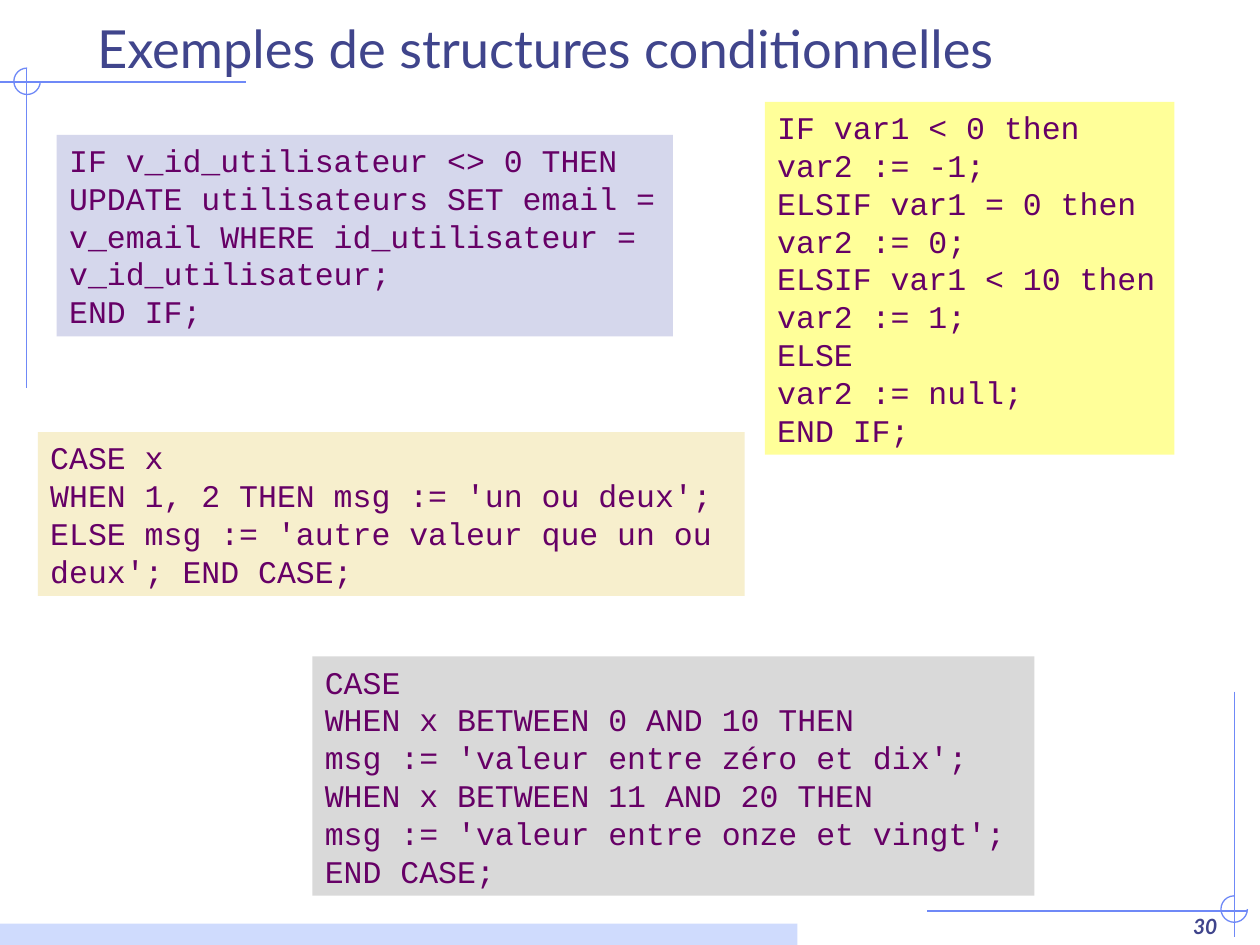
from dataclasses import dataclass

from lxml import etree
from pptx import Presentation
from pptx.dml.color import RGBColor
from pptx.enum.shapes import MSO_CONNECTOR, MSO_SHAPE
from pptx.enum.text import MSO_ANCHOR, MSO_AUTO_SIZE, PP_ALIGN
from pptx.oxml.ns import qn
from pptx.util import Inches, Pt

STRAIGHT = MSO_CONNECTOR.STRAIGHT
RECT, ARC = MSO_SHAPE.RECTANGLE, MSO_SHAPE.ARC
TOP, BOTTOM = MSO_ANCHOR.TOP, MSO_ANCHOR.BOTTOM
LEFT, RIGHT = PP_ALIGN.LEFT, PP_ALIGN.RIGHT
FIXED, GROW = MSO_AUTO_SIZE.NONE, MSO_AUTO_SIZE.SHAPE_TO_FIT_TEXT


@dataclass(frozen=True)
class Theme:
    ink: str = "40458C"
    code: str = "660066"
    rule: str = "6F89F7"
    footer: str = "CFDBFD"
    text_font: str = "Lato"
    code_font: str = "Courier New"
    title_pt: float = 30
    code_pt: float = 18
    code_line_pt: float = 21.6
    number_pt: float = 12
    rule_pt: float = 0.75


@dataclass(frozen=True)
class CodeBox:
    left: float
    top: float
    width: float
    fill: str
    lines: tuple[str, ...]
    rows: int  # displayed rows, wrapped ones included


@dataclass(frozen=True)
class Corner:
    horizontal: tuple[float, float, float, float]
    vertical: tuple[float, float, float, float]
    circle: tuple[float, float]


THEME = Theme()
ROW, PADDING, CIRCLE = 0.3, 0.1, 0.21

CORNERS = (
    Corner((0, 0.65, 1.95, 0.65), (0.21, 0.55, 0.21, 3.08), (0.11, 0.54)),
    Corner((7.36, 7.23, 9.9, 7.23), (9.8, 5.49, 9.8, 7.44), (9.69, 7.11)),
)

CODE_BOXES = (
    CodeBox(0.45, 1.07, 4.89, "D5D7EC", (
        "IF v_id_utilisateur <> 0 THEN",
        "UPDATE utilisateurs SET email = v_email "
        "WHERE id_utilisateur = v_id_utilisateur;",
        "END IF;",
    ), 5),
    CodeBox(2.48, 5.21, 5.73, "D9D9D9", (
        "CASE",
        "WHEN x BETWEEN 0 AND 10 THEN",
        "msg := 'valeur entre zéro et dix';",
        "WHEN x BETWEEN 11 AND 20 THEN",
        "msg := 'valeur entre onze et vingt';",
        "END CASE;",
    ), 6),
    CodeBox(6.07, 0.81, 3.25, "FFFF99", (
        "IF var1 < 0 then",
        "var2 := -1;",
        "ELSIF var1 = 0 then",
        "var2 := 0;",
        "ELSIF var1 < 10 then",
        "var2 := 1;",
        "ELSE",
        "var2 := null;",
        "END IF;",
    ), 9),
    CodeBox(0.3, 3.43, 5.61, "F7EFCD", (
        "CASE x",
        "WHEN 1, 2 THEN msg := 'un ou deux'; "
        "ELSE msg := 'autre valeur que un ou deux'; END CASE;",
    ), 4),
)


def color(value: str) -> RGBColor:
    return RGBColor.from_string(value)


def add_run(p, text: str, font: str, size: float, ink: str):
    r = p.add_run()
    r.text = text
    r.font.name, r.font.size = font, Pt(size)
    r.font.color.rgb = color(ink)
    return r


def style_line(sp) -> None:
    sp.line.color.rgb = color(THEME.rule)
    sp.line.width = Pt(THEME.rule_pt)


def add_rule(s, ends: tuple[float, float, float, float]) -> None:
    sp = s.shapes.add_connector(STRAIGHT, *map(Inches, ends))
    style_line(sp)
    etree.SubElement(sp._element.spPr, qn("a:effectLst"))


def add_corner(s, corner: Corner) -> None:
    add_rule(s, corner.horizontal)
    add_rule(s, corner.vertical)
    sp = s.shapes.add_shape(ARC, *map(Inches, (*corner.circle, CIRCLE, CIRCLE)))
    # Clockwise from 0 to 270 degrees, in 60000ths scaled by 100000
    sp.adjustments[0], sp.adjustments[1] = 0, 270 * 0.6
    sp.shadow.inherit = False
    sp.fill.background()
    style_line(sp)


def add_rect(s, left: float, top: float, width: float, height: float, fill: str):
    sp = s.shapes.add_shape(RECT, *map(Inches, (left, top, width, height)))
    sp.shadow.inherit = False
    sp.fill.solid()
    sp.fill.fore_color.rgb = color(fill)
    sp.line.fill.background()
    return sp


def add_code(s, box: CodeBox) -> None:
    height = box.rows * ROW + PADDING
    sp = add_rect(s, box.left, box.top, box.width, height, box.fill)
    tf = sp.text_frame
    tf.word_wrap, tf.auto_size = True, GROW
    tf.vertical_anchor = TOP
    for i, line in enumerate(box.lines):
        p = tf.add_paragraph() if i else tf.paragraphs[0]
        p.alignment = LEFT
        p.line_spacing = Pt(THEME.code_line_pt)
        add_run(p, line, THEME.code_font, THEME.code_pt, THEME.code)


def set_title(s, text: str) -> None:
    sp = s.shapes.title
    sp.left, sp.top, sp.width, sp.height = map(Inches, (0.67, 0.01, 9.08, 0.67))
    tf = sp.text_frame
    tf.word_wrap, tf.auto_size = True, FIXED
    tf.vertical_anchor = BOTTOM
    p = tf.paragraphs[0]
    p.alignment = LEFT
    add_run(p, text, THEME.text_font, THEME.title_pt, THEME.ink)


def add_page_number(s, number: str) -> None:
    sp = s.shapes.add_textbox(*map(Inches, (7.68, 7, 2.08, 0.5)))
    tf = sp.text_frame
    tf.word_wrap = True
    tf.vertical_anchor = BOTTOM
    p = tf.paragraphs[0]
    p.alignment = RIGHT
    r = add_run(p, number, THEME.text_font, THEME.number_pt, THEME.ink)
    r.font.bold = r.font.italic = True


def main() -> None:
    prs = Presentation()
    prs.slide_width, prs.slide_height = Inches(10), Inches(7.5)
    s = prs.slides.add_slide(prs.slide_layouts[5])

    # Corner marks and footer band
    for corner in CORNERS:
        add_corner(s, corner)
    add_rect(s, 0, 7.33, 6.33, 0.17, THEME.footer)

    # Title and page number
    set_title(s, "Exemples de structures conditionnelles")
    add_page_number(s, "30")

    # Code samples
    for box in CODE_BOXES:
        add_code(s, box)

    prs.save("out.pptx")


if __name__ == "__main__":
    main()
